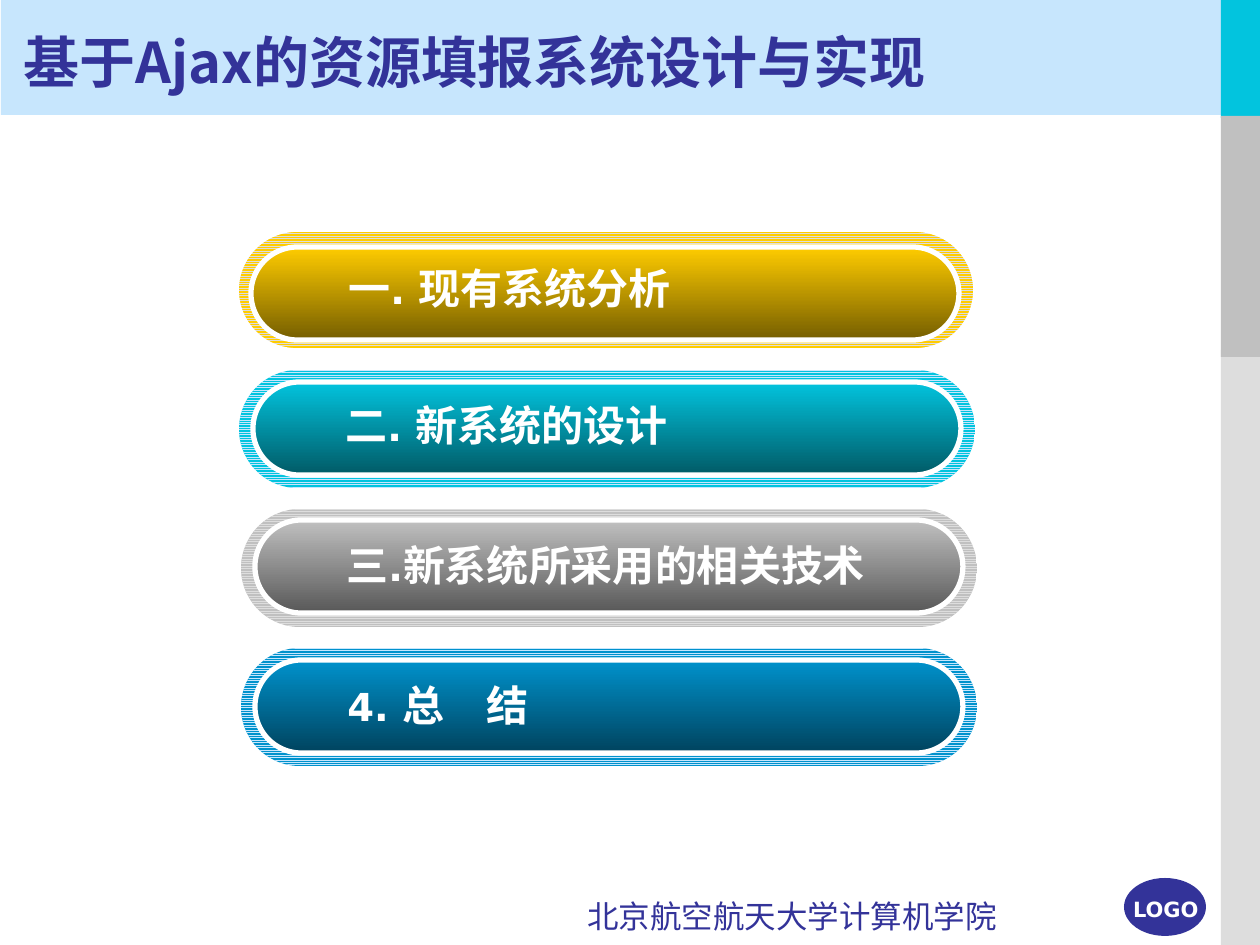
from lxml.etree import SubElement as Sub
from pptx import Presentation
from pptx.dml.color import RGBColor as Rgb
from pptx.enum.dml import MSO_PATTERN as Pat
from pptx.enum.shapes import MSO_SHAPE as Kind
from pptx.enum.text import MSO_ANCHOR as Anchor, MSO_AUTO_SIZE as Fit, PP_ALIGN as Align
from pptx.oxml.ns import qn
from pptx.util import Emu, Pt

WHITE = Rgb(0xFF, 0xFF, 0xFF)
NAVY = Rgb(0x33, 0x33, 0x99)
PALE = Rgb(0xC7, 0xE6, 0xFD)
LIGHT = Rgb(0xDD, 0xDD, 0xDD)
GREY = Rgb(0xC0, 0xC0, 0xC0)
CYAN = Rgb(0x02, 0xC4, 0xDE)
GOLD = Rgb(0xFF, 0xCC, 0x00)
BLUE = Rgb(0x00, 0x92, 0xCC)
HAN, LATIN = "Noto Sans CJK SC", "DejaVu Sans"
SCALE = 914400 / 126


def px(num):
    """Turn px into EMU."""
    return Emu(round(num * SCALE))


def dark(tone):
    """Return the deep shade of a colour."""
    return Rgb(*(round(part * 0.46) for part in tone))


def write(para, text, size=24, font=HAN, color=WHITE, bold=True):
    """Add one formatted run to a paragraph."""
    run = para.add_run()
    run.text = text
    run.font.size, run.font.name, run.font.bold = Pt(size), font, bold
    run.font.color.rgb = color
    Sub(run.font._element, qn("a:ea")).set("typeface", font)


class Deck:
    """Hold the style and the current slide."""

    def __init__(self):
        """Start a deck with one title slide."""
        self.prs = Presentation()
        self.prs.slide_width, self.prs.slide_height = px(1260), px(945)
        self.slide = self.prs.slides.add_slide(self.prs.slide_layouts[5])

    def shape(self, kind, *box):
        """Add a bare shape without line or shadow."""
        shape = self.slide.shapes.add_shape(kind, *map(px, box))
        shape.shadow.inherit = False
        shape.line.fill.background()
        return shape

    def block(self, kind, color, *box):
        """Add a shape in one plain colour."""
        fill = self.shape(kind, *box).fill
        fill.solid()
        fill.fore_color.rgb = color

    def pill(self, *box, edge=0):
        """Add a fully rounded bar and return its fill."""
        shape = self.shape(Kind.ROUNDED_RECTANGLE, *box)
        shape.adjustments[0] = 0.5
        if edge:
            shape.line.color.rgb = WHITE
            shape.line.width = Pt(edge)
        return shape.fill

    def frame(self, *box):
        """Add a striped outer bar."""
        return self.pill(*box)

    def bar(self, left, top, inner, tone, stripe, edge=0):
        """Add a striped bar with a shaded bar on top."""
        fill = self.pill(left, top, 736, 118, edge=edge)
        fill.patterned()
        fill.pattern = Pat.NARROW_HORIZONTAL
        fill.fore_color.rgb, fill.back_color.rgb = stripe, tone
        fill = self.pill(*inner, 708, 93, edge=3)
        fill.gradient()
        fill.gradient_angle = 270
        for stop, color in zip(fill.gradient_stops, (tone, dark(tone))):
            stop.color.rgb = color

    def text(self, *box, align=Align.LEFT, anchor=Anchor.TOP):
        """Add a text box and return its paragraph."""
        frame = self.slide.shapes.add_textbox(*map(px, box)).text_frame
        frame.word_wrap, frame.vertical_anchor = True, anchor
        frame.paragraphs[0].alignment = align
        return frame.paragraphs[0]

    def title(self, text, *box):
        """Fill the title and bring it to the front."""
        title = self.slide.shapes.title
        title.left, title.top, title.width, title.height = map(px, box)
        frame = title.text_frame
        frame.auto_size, frame.vertical_anchor = Fit.NONE, Anchor.MIDDLE
        frame.paragraphs[0].alignment = Align.LEFT
        write(frame.paragraphs[0], text, size=32, color=NAVY)
        self.slide.shapes.element.append(title.element)


def main():
    """Build the agenda slide."""
    deck = Deck()
    deck.block(Kind.RECTANGLE, PALE, 1, 0, 1259, 115)
    deck.block(Kind.OVAL, NAVY, 1124, 878, 82, 58)
    for color, top, high in ((LIGHT, 350, 595), (CYAN, 0, 118), (GREY, 116, 241)):
        deck.block(Kind.RECTANGLE, color, 1221, top, 39, high)
    write(deck.text(1108, 890, 103, 42, align=Align.RIGHT), "LOGO", size=12, font=LATIN)
    write(deck.text(575, 891, 546, 42), "北京航空航天大学计算机学院", size=18, color=NAVY, bold=False)
    deck.title("基于Ajax的资源填报系统设计与实现", 11, 19, 1081, 84)

    items = (
        (238, (251, 247), GOLD, LIGHT, 1, (336, 260, 500), "一", ". ", "现有系统分析"),
        (239, (253, 382), CYAN, PALE, 0, (333, 397, 500), "二", ". ", "新系统的设计"),
        (241, (255, 520), GREY, LIGHT, 0, (334, 537, 600), "三", ".", "新系统所采用的相关技术"),
        (241, (255, 660), BLUE, PALE, 0, (335, 677, 500), "", "4. ", "总　结"),
    )
    for row, (left, inner, tone, stripe, edge, box, num, dot, name) in enumerate(items):
        deck.bar(left, 231 + 139 * row, inner, tone, stripe, edge)
        para = deck.text(*box, 55, anchor=Anchor.MIDDLE)
        if num:
            write(para, num)
        write(para, dot, size=22, font=LATIN)
        write(para, name)
    deck.prs.save("out.pptx")


if __name__ == "__main__":
    main()
